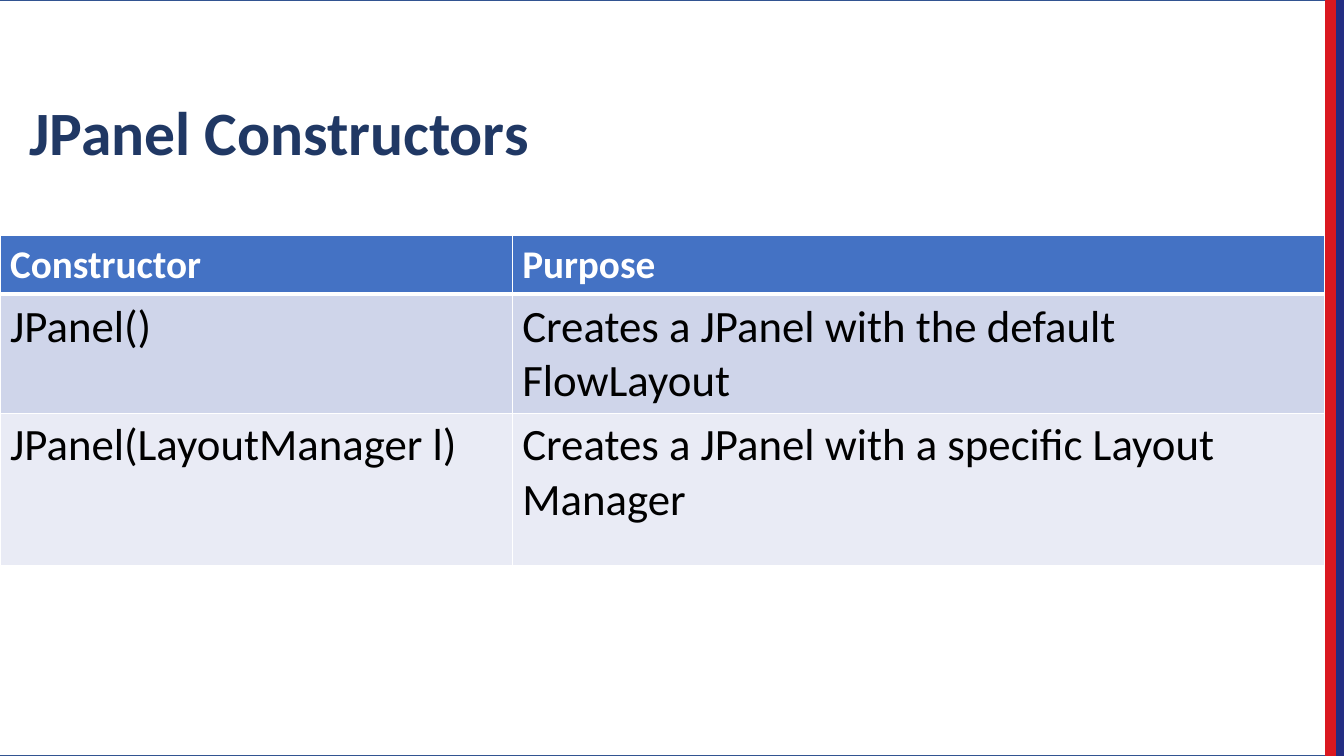
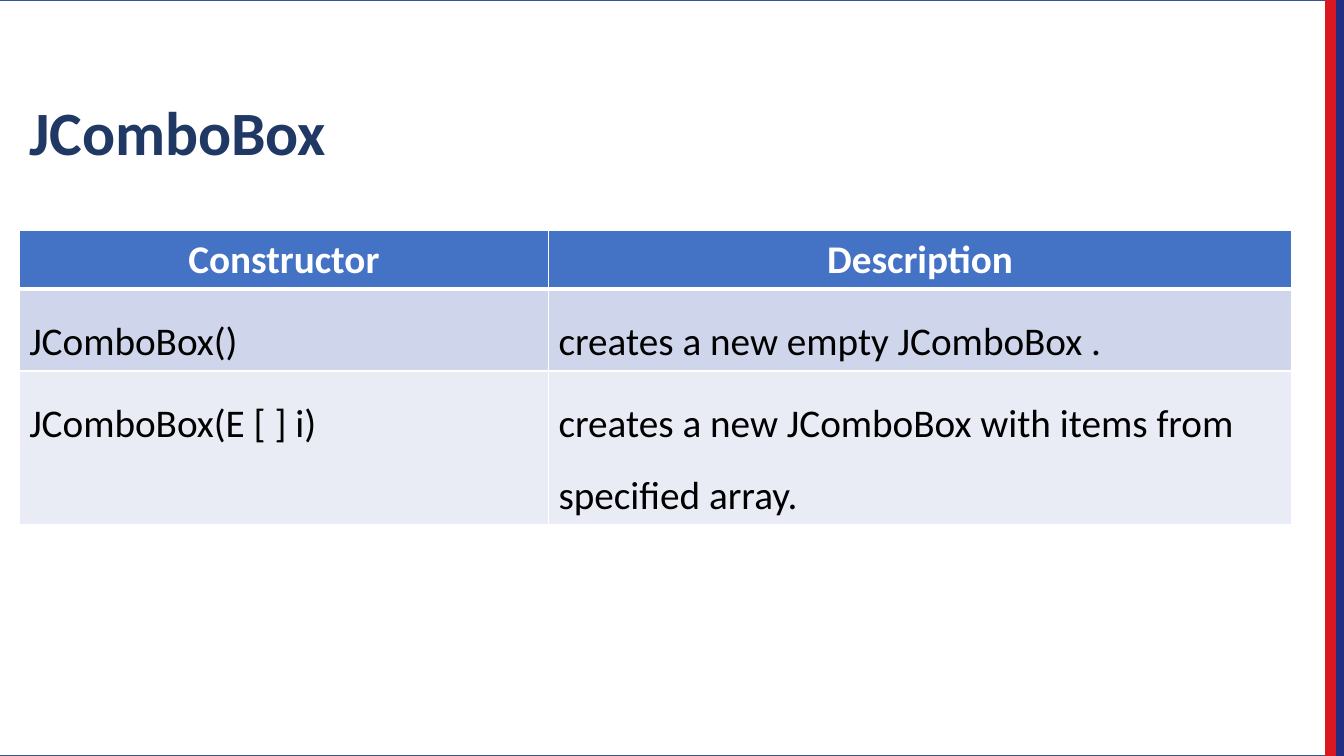
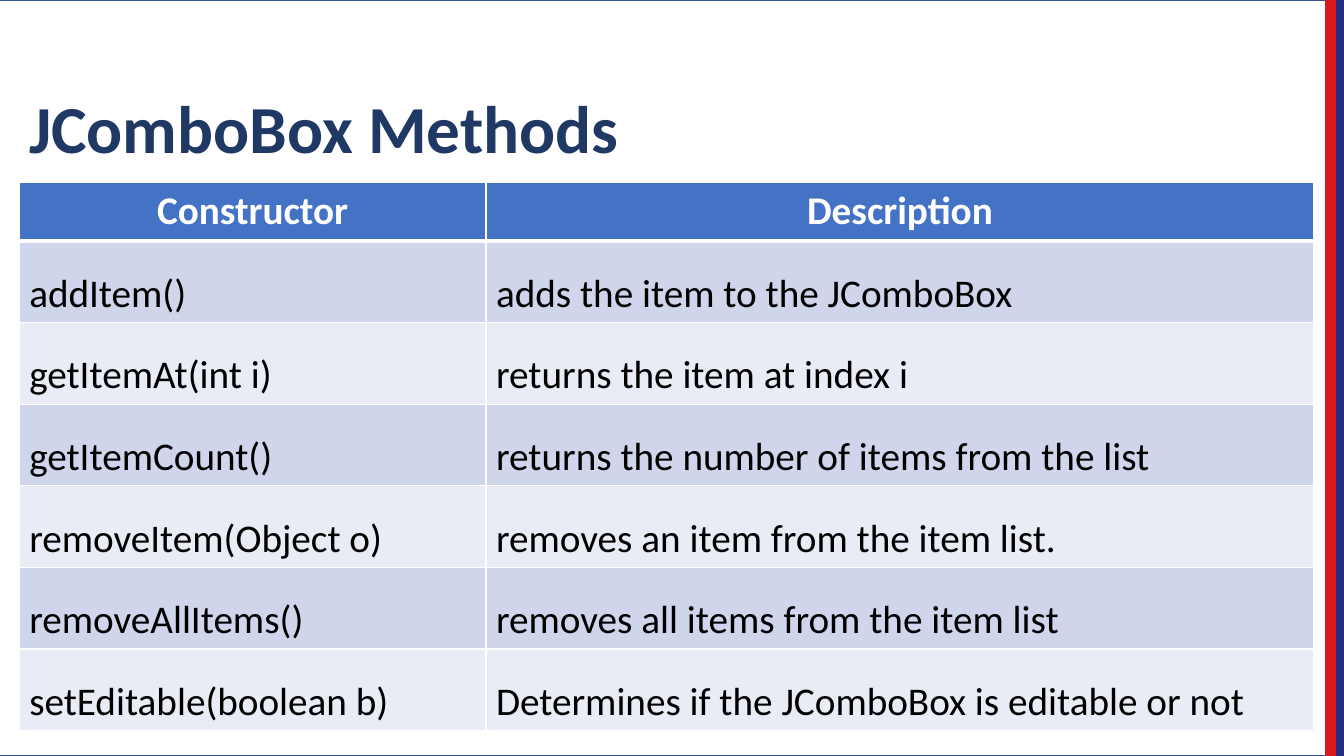
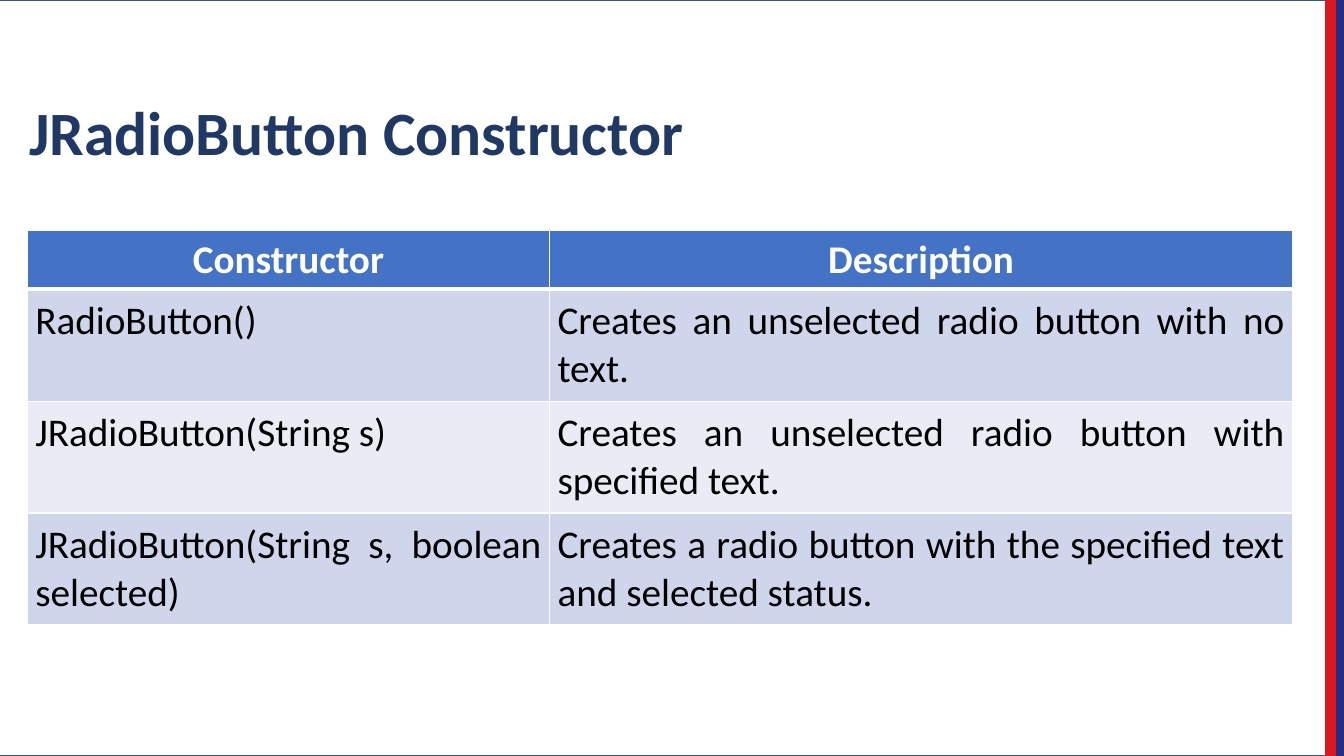
from lxml import etree
from pptx import Presentation
from pptx.dml.color import RGBColor
from pptx.enum.shapes import MSO_SHAPE
from pptx.enum.text import MSO_ANCHOR, PP_ALIGN
from pptx.oxml.ns import qn
from pptx.util import Inches, Pt

RECT = MSO_SHAPE.RECTANGLE
BOTTOM = MSO_ANCHOR.BOTTOM
LEFT, CENTER, JUSTIFY = PP_ALIGN.LEFT, PP_ALIGN.CENTER, PP_ALIGN.JUSTIFY

FONT = "Calibri"
SLIDE_W, SLIDE_H = 13.33, 7.5
STRIPE_W = 0.09
TITLE_BOX = (0.19, 0.27, 12.23, 1.45)
HEADER_H = 0.58
HEADER_SIZE = 28
COLORS = {
    "white": "FFFFFF",
    "black": "000000",
    "title": "203864",
    "frame": "325491",
    "navy": "232D82",
    "red": "DA1820",
    "header": "4472C4",
    "band_dark": "CFD5EA",
    "band_light": "E9EBF5",
}
# (position, opacity) in percent
VEIL_STOPS = [(0, 0), (17, 10), (80, 85)]

TABLE_SLIDES = [
    dict(
        title="JPanel Constructors",
        origin=(0, 2.34), cols=(5.08, 8.06), row_heights=[1.18, 1.51],
        header=("Constructor", "Purpose"), header_align=LEFT, size=32,
        rows=[
            ("JPanel()", "Creates a JPanel with the default FlowLayout"),
            ("JPanel(LayoutManager l)", "Creates a JPanel with a specific Layout Manager"),
        ],
    ),
    dict(
        title="JComboBox",
        origin=(0.19, 2.29), cols=(5.25, 7.37), row_heights=[0.81, 1.52],
        header=("Constructor", "Description"), spacing=1.5,
        rows=[
            ("JComboBox()", "creates a new empty JComboBox ."),
            ("JComboBox(E [ ] i)", "creates a new JComboBox with items from specified array."),
        ],
    ),
    dict(
        title="JComboBox Methods", title_size=48,
        origin=(0.19, 1.81), cols=(4.63, 8.21), row_heights=[0.81] * 6,
        header=("Constructor", "Description"), spacing=1.5,
        rows=[
            ("addItem()", "adds the item to the JComboBox"),
            ("getItemAt(int i)", "returns the item at index i"),
            ("getItemCount()", "returns the number of items from the list"),
            ("removeItem(Object o)", "removes an item from the item list."),
            ("removeAllItems()", "removes all items from the item list"),
            ("setEditable(boolean b)", "Determines if the JComboBox is editable or not"),
        ],
    ),
    dict(
        title="JRadioButton Constructor",
        origin=(0.27, 2.29), cols=(5.18, 7.37), row_heights=[1.11] * 3,
        header=("Constructor", "Description"), align=JUSTIFY, margin=0.08,
        rows=[
            ("RadioButton()", "Creates an unselected radio button with no text."),
            ("JRadioButton(String s)", "Creates an unselected radio button with specified text."),
            ("JRadioButton(String s, boolean selected)",
             "Creates a radio button with the specified text and selected status."),
        ],
    ),
]


def rgb(name):
    return RGBColor.from_string(COLORS[name])


def add_rect(shapes, box, line):
    sp = shapes.add_shape(RECT, *map(Inches, box))
    sp.shadow.inherit = False
    sp.line.color.rgb = rgb(line)
    sp.line.width = Pt(1)
    return sp


def write(tf, text, size, color, bold=False, align=LEFT, spacing=None):
    p = tf.paragraphs[0]
    p.alignment = align
    if spacing:
        p.line_spacing = spacing
    r = p.add_run()
    r.text = text
    r.font.name = FONT
    r.font.size = Pt(size)
    r.font.bold = bold
    r.font.color.rgb = rgb(color)


def set_veil(fill):
    """White gradient that grows more opaque along its length."""
    fill.gradient()
    fill.gradient_angle = 180
    stops = fill._xPr.find(qn("a:gradFill")).find(qn("a:gsLst"))
    for stop in list(stops):
        stops.remove(stop)
    for pos, opacity in VEIL_STOPS:
        gs = etree.SubElement(stops, qn("a:gs"), pos=str(pos * 1000))
        clr = etree.SubElement(gs, qn("a:srgbClr"), val=COLORS["white"])
        etree.SubElement(clr, qn("a:alpha"), val=str(opacity * 1000))


def add_backdrop(s):
    panel_w = SLIDE_W - STRIPE_W
    panel = add_rect(s.shapes, (-STRIPE_W, 0, panel_w, SLIDE_H), "frame")
    set_veil(panel.fill)
    stripes = s.shapes.add_group_shape()
    for i, color in enumerate(("navy", "red"), start=1):
        box = (SLIDE_W - i * STRIPE_W, 0, STRIPE_W, SLIDE_H)
        sp = add_rect(stripes.shapes, box, color)
        sp.fill.solid()
        sp.fill.fore_color.rgb = rgb(color)


def add_title(s, text, size):
    tf = s.shapes.add_textbox(*map(Inches, TITLE_BOX)).text_frame
    tf.word_wrap = True
    tf.vertical_anchor = BOTTOM
    write(tf, text, size, "title", bold=True, spacing=0.9)


def set_borders(cell, top, bottom):
    tc_pr = cell._tc.get_or_add_tcPr()
    widths = {"a:lnL": 1, "a:lnR": 1, "a:lnT": top, "a:lnB": bottom}
    for i, (tag, width) in enumerate(widths.items()):
        ln = etree.Element(qn(tag), w=str(Pt(width)))
        fill = etree.SubElement(ln, qn("a:solidFill"))
        etree.SubElement(fill, qn("a:srgbClr"), val=COLORS["white"])
        tc_pr.insert(i, ln)


def add_banded_table(s, origin, cols, row_heights, header, rows, size=28,
                     header_align=CENTER, align=LEFT, spacing=None, margin=None):
    heights = [HEADER_H] + row_heights
    box = (*origin, sum(cols), sum(heights))
    table = s.shapes.add_table(len(heights), len(cols), *map(Inches, box)).table
    for column, width in zip(table.columns, cols):
        column.width = Inches(width)
    for i, (height, texts) in enumerate(zip(heights, [header] + rows)):
        table.rows[i].height = Inches(height)
        for j, text in enumerate(texts):
            cell = table.cell(i, j)
            cell.fill.solid()
            if i == 0:
                color = "header"
                write(cell.text_frame, text, HEADER_SIZE, "white", True, header_align)
            else:
                color = "band_dark" if i % 2 else "band_light"
                write(cell.text_frame, text, size, "black", False, align, spacing)
                if margin:
                    cell.margin_left = cell.margin_right = Inches(margin)
                    cell.margin_top = cell.margin_bottom = Inches(margin)
            cell.fill.fore_color.rgb = rgb(color)
            set_borders(cell, top=3 if i == 1 else 1, bottom=3 if i == 0 else 1)


def add_table_slide(prs, title, title_size=44, **table):
    s = prs.slides.add_slide(prs.slide_layouts[6])
    add_backdrop(s)
    add_title(s, title, title_size)
    add_banded_table(s, **table)


def main():
    prs = Presentation()
    prs.slide_width, prs.slide_height = Inches(SLIDE_W), Inches(SLIDE_H)
    for content in TABLE_SLIDES:
        add_table_slide(prs, **content)
    prs.save("out.pptx")


if __name__ == "__main__":
    main()
